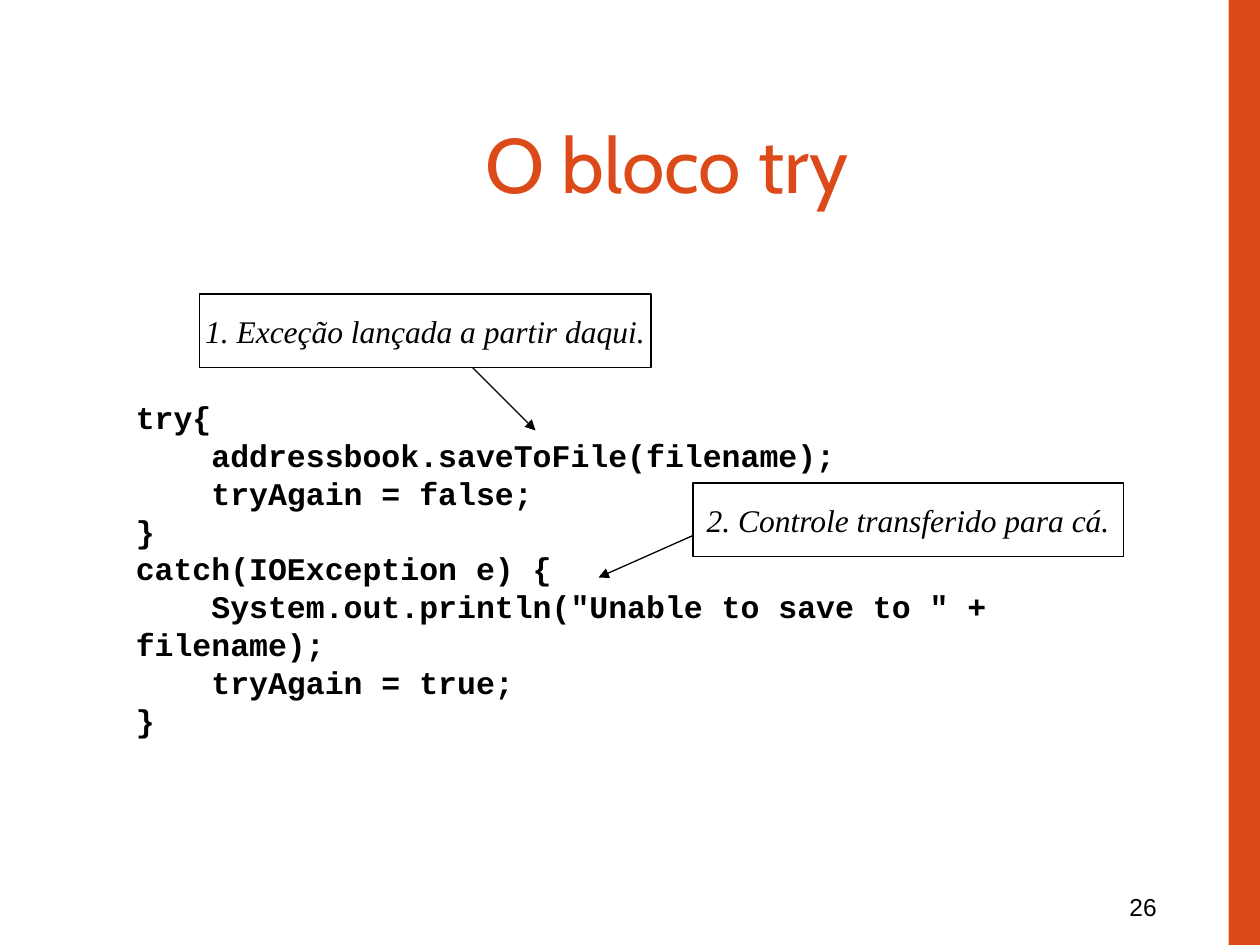
from dataclasses import dataclass

import pptx
import pptx.dml.color
import pptx.enum.shapes
import pptx.enum.text
import pptx.oxml.ns
import pptx.util
from lxml import etree

Pt = pptx.util.Pt
ALIGN = pptx.enum.text.PP_ALIGN
ANCHOR = pptx.enum.text.MSO_ANCHOR
COLORS = {"accent": "DC4A1A", "ink": "000000"}
CODE = """try{
    addressbook.saveToFile(filename);
    tryAgain = false;
}
catch(IOException e) {
    System.out.println("Unable to save to " + filename);
    tryAgain = true;
}"""


@dataclass
class Box:
    left: float
    top: float
    width: float
    height: float


@dataclass
class Style:
    font: str
    size: float
    color: str = "ink"
    bold: bool = False
    italic: bool = False
    align: ALIGN = ALIGN.LEFT
    anchor: ANCHOR = ANCHOR.TOP
    wrap: bool = False


@dataclass
class Callout:
    text: str
    box: Box
    start: tuple[float, float]
    end: tuple[float, float]


TITLE = Style("Cabin", 44, "accent", align=ALIGN.CENTER, anchor=ANCHOR.MIDDLE, wrap=True)
LISTING = Style("Courier New", 18, bold=True)
NOTE = Style("Times New Roman", 18, italic=True, align=ALIGN.CENTER, anchor=ANCHOR.MIDDLE)
NUMBER = Style("Arial", 14, align=ALIGN.RIGHT, wrap=True)

CALLOUTS = [
    Callout("1. Exceção lançada a partir daqui.", Box(114, 168, 258, 42), (270, 210), (306, 246)),
    Callout("2. Controle transferido para cá.", Box(396, 276, 246, 42), (396, 306), (342, 330)),
]


def rgb(name: str) -> pptx.dml.color.RGBColor:
    return pptx.dml.color.RGBColor.from_string(COLORS[name])


def write(tf, text: str, style: Style) -> None:
    tf.word_wrap = style.wrap
    tf.vertical_anchor = style.anchor
    for i, line in enumerate(text.split("\n")):
        p = tf.paragraphs[0] if i == 0 else tf.add_paragraph()
        p.add_run().text = line
        p.alignment = style.align
        p.font.name = style.font
        p.font.size = Pt(style.size)
        p.font.bold = style.bold
        p.font.italic = style.italic
        p.font.color.rgb = rgb(style.color)


def add_text(s, box: Box, text: str, style: Style):
    sp = s.shapes.add_textbox(Pt(box.left), Pt(box.top), Pt(box.width), Pt(box.height))
    write(sp.text_frame, text, style)
    return sp


def add_rect(s, box: Box):
    sp = s.shapes.add_shape(
        pptx.enum.shapes.MSO_SHAPE.RECTANGLE,
        Pt(box.left), Pt(box.top), Pt(box.width), Pt(box.height),
    )
    sp.shadow.inherit = False
    return sp


def add_arrow(s, start: tuple[float, float], end: tuple[float, float]) -> None:
    line = s.shapes.add_connector(
        pptx.enum.shapes.MSO_CONNECTOR.STRAIGHT,
        Pt(start[0]), Pt(start[1]), Pt(end[0]), Pt(end[1]),
    )
    line.line.color.rgb = rgb("ink")
    line.line.width = Pt(0.75)
    qn = pptx.oxml.ns.qn
    etree.SubElement(line.line._get_or_add_ln(), qn("a:tailEnd"), type="triangle")
    etree.SubElement(line._element.spPr, qn("a:effectLst"))


def add_callout(s, callout: Callout) -> None:
    sp = add_rect(s, callout.box)
    sp.fill.background()
    sp.line.color.rgb = rgb("ink")
    sp.line.width = Pt(0.75)
    write(sp.text_frame, callout.text, NOTE)
    add_arrow(s, callout.start, callout.end)


def main() -> None:
    prs = pptx.Presentation()
    prs.slide_width, prs.slide_height = Pt(720), Pt(540)
    s = prs.slides.add_slide(prs.slide_layouts[6])

    number = add_text(s, Box(630, 506, 42, 24), "26", NUMBER)
    number.text_frame.margin_right = Pt(11)

    band = add_rect(s, Box(702, 0, 18, 540))
    band.fill.solid()
    band.fill.fore_color.rgb = rgb("accent")
    band.line.fill.background()

    add_text(s, Box(78, 48, 606, 90), "O bloco try", TITLE)
    add_text(s, Box(70.5, 224, 619, 201.5), CODE, LISTING)
    for callout in CALLOUTS:
        add_callout(s, callout)

    prs.save("out.pptx")


if __name__ == "__main__":
    main()
